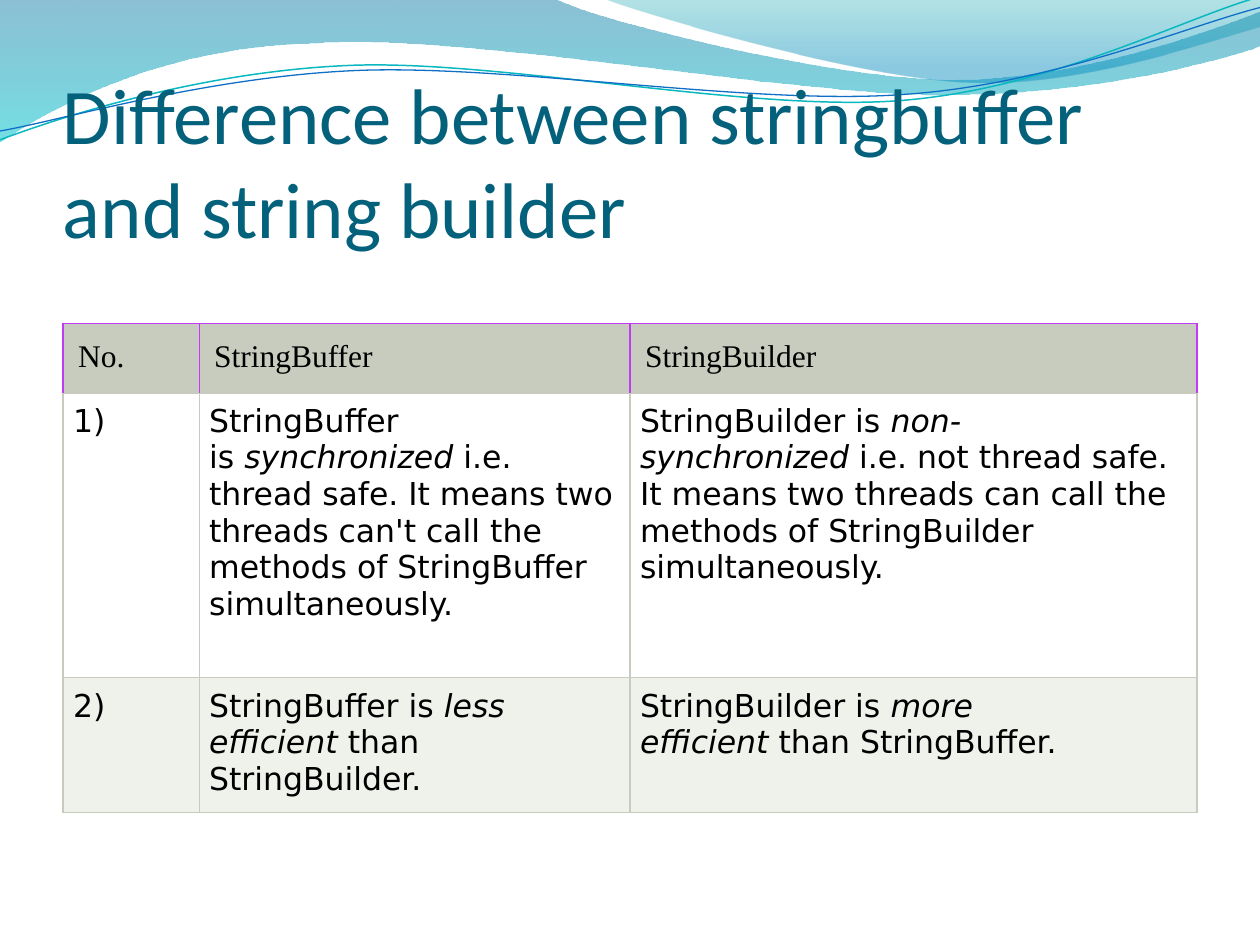
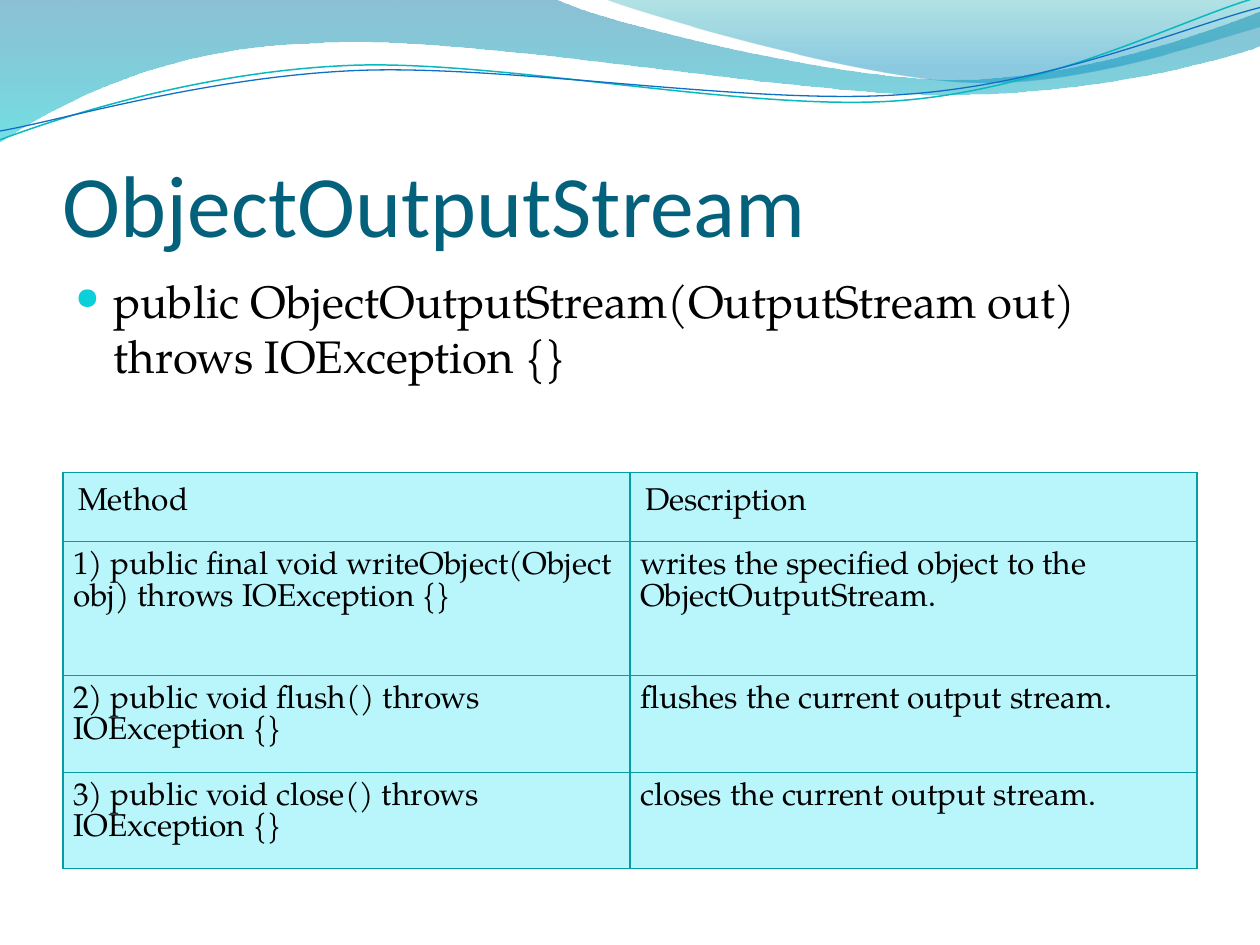
from lxml import etree
from pptx import Presentation
from pptx import util as u
from pptx.dml.color import RGBColor
from pptx.enum import text as t
from pptx.oxml import parse_xml
from pptx.oxml.ns import nsdecls, qn

TITLE, INK, TEAL, SAGE, VIOLET = "04617B", "000000", "069CA3", "C7CCBE", "C03AF8"
SERIF = "TeX Gyre Pagella"
HARD = chr(160)  # no-break space, typed as ~ in the wording below

# Each wave is a start point, then lines (2 numbers) and cubic curves (6 numbers).
BANDS = [
    ([(0, 0), (4.4, -0.01), (4.76, 0.17, 6.64, 0.63, 7.58, 0.63),
      (8.53, 0.63, 9.58, 0.26, 10, 0.09), (10.01, 0.36),
      (9.83, 0.44, 8.7, 0.76, 7.46, 0.75), (6.22, 0.75, 3.82, 0.28, 2.57, 0.34),
      (1.29, 0.36, 0.46, 0.83, -0.01, 1.13)],
     [(0, "0074A1", 45), (1, "00C6CF", 55)]),
    ([(4.79, -0.01), (5.09, 0.11, 6.82, 0.62, 7.69, 0.65),
      (8.56, 0.69, 9.61, 0.32, 10, 0.21), (10, 0)],
     [(0, "00A1A9", 30), (0.8, "008BBF", 45)]),
]
CURVES = [
    ([(0, 1.11), (0.48, 0.93, 1.58, 0.57, 2.77, 0.52),
      (3.95, 0.47, 5.93, 0.89, 7.13, 0.8), (8.33, 0.71, 9.38, 0.15, 9.98, -0.02)],
     ("0AB8BF", 0.85)),
    ([(0, 1.04), (0.47, 0.96, 1.64, 0.61, 2.83, 0.56),
      (4.03, 0.51, 5.97, 0.84, 7.17, 0.75), (8.36, 0.67, 9.41, 0.21, 10, 0.06)],
     ("0F6FC6", 0.75)),
]

PAGES = [
    {"title": "Difference between stringbuffer and string builder", "size": 45,
     "top": 2.57, "cols": [1.08, 3.42, 4.5], "rows": [0.55, 2.26, 1.07],
     "fills": [SAGE, "FFFFFF", "EFF1EB"], "edge": SAGE, "head": VIOLET,
     "faces": ["Times New Roman", "DejaVu Sans"],
     "cells": [
         ["No.", "StringBuffer", "StringBuilder"],
         ["1)",
          "StringBuffer is~*synchronized*~i.e. thread safe. It means two threads "
          "can't call the methods of StringBuffer simultaneously.",
          "StringBuilder is~*non-synchronized*~i.e. not thread safe. It means two "
          "threads can call the methods of StringBuilder simultaneously."],
         ["2)", "StringBuffer is~*less efficient*~than StringBuilder.",
          "StringBuilder is~*more efficient*~than StringBuffer."]]},
    {"title": "ObjectOutputStream", "size": 50,
     "body": "public ObjectOutputStream(OutputStream out) throws IOException {}",
     "top": 3.75, "cols": [4.5, 4.5], "rows": [0.55, 1.06, 0.77, 0.76],
     "fills": ["B9F6FC"] * 4, "edge": TEAL, "head": TEAL,
     "faces": [SERIF, SERIF],
     "cells": [
         ["Method", "Description"],
         ["1) public final void writeObject(Object obj) throws IOException {}",
          "writes the specified object to the ObjectOutputStream."],
         ["2) public void flush() throws IOException {}",
          "flushes the current output stream."],
         ["3) public void close() throws IOException {}",
          "closes the current output stream."]]},
]


def hue(code):
    return RGBColor.from_string(code)


def write(frame, words, size, face, color):
    """Fill the first paragraph; words between asterisks are italic."""
    frame.word_wrap = True
    para = frame.paragraphs[0]
    for i, part in enumerate(words.replace("~", HARD).split("*")):
        run = para.add_run()
        run.text = part
        if i % 2:
            run.font.italic = True
    font = para.font
    font.size, font.name, font.color.rgb = u.Pt(size), face, hue(color)
    return para


deck = Presentation()
deck.slide_width, deck.slide_height = u.Inches(10), u.Inches(7.5)

for page in PAGES:
    slide = deck.slides.add_slide(deck.slide_layouts[6])
    shapes = slide.shapes

    # Waves along the top
    for wave, paint in BANDS + CURVES:
        band = isinstance(paint, list)
        ends = [(u.Inches(seg[-2]), u.Inches(seg[-1])) for seg in wave]
        path = shapes.build_freeform(*ends[0])
        path.add_line_segments(ends[1:], close=band)
        shape = path.convert_to_shape()
        shape.shadow.inherit = False

        # Bend the straight pieces into cubic curves
        for node, seg in zip(list(shape.element.iter(qn("a:lnTo"))), wave[1:]):
            if len(seg) == 6:
                bend = etree.Element(qn("a:cubicBezTo"))
                for x, y in zip(seg[::2], seg[1::2]):
                    etree.SubElement(bend, qn("a:pt"), x=str(u.Inches(x) - shape.left),
                                     y=str(u.Inches(y) - shape.top))
                node.getparent().replace(node, bend)

        if band:
            shape.line.fill.background()
            shape.fill.gradient()
            shape.fill.gradient_angle = 270
            for stop, (place, code, _) in zip(shape.fill.gradient_stops, paint):
                stop.position, stop.color.rgb = place, hue(code)
            for node, (_, _, alpha) in zip(shape.element.iter(qn("a:srgbClr")), paint):
                etree.SubElement(node, qn("a:alpha"), val=str(alpha * 1000))
        else:
            shape.fill.background()
            shape.line.color.rgb, shape.line.width = hue(paint[0]), u.Pt(paint[1])

    # Title
    frame = shapes.add_textbox(*map(u.Inches, (0.5, 0.77, 9, 1.25))).text_frame
    frame.margin_left = frame.margin_right = frame.margin_bottom = 0
    frame.vertical_anchor = t.MSO_ANCHOR.BOTTOM
    write(frame, page["title"], page["size"], "Calibri", TITLE)

    # Bullet
    if "body" in page:
        frame = shapes.add_textbox(*map(u.Inches, (0.5, 2.12, 9, 4.8))).text_frame
        para = write(frame, page["body"], 26, SERIF, INK)
        para.space_before = u.Pt(5.2)
        props = para._p.get_or_add_pPr()
        props.set("marL", str(u.Inches(0.3)))
        props.set("indent", str(u.Inches(-0.3)))
        last = props.find(qn("a:defRPr"))
        for xml in ('<a:buClr %s><a:srgbClr val="0BD0D9"/></a:buClr>',
                    '<a:buSzPct %s val="67000"/>', '<a:buChar %s char="●"/>'):
            last.addprevious(parse_xml(xml % nsdecls("a")))

    # Table
    rows, cols = page["rows"], page["cols"]
    grid = shapes.add_table(len(rows), len(cols), u.Inches(0.5), u.Inches(page["top"]),
                            u.Inches(sum(cols)), u.Inches(sum(rows))).table
    grid.first_row = grid.horz_banding = False
    for c, width in enumerate(cols):
        grid.columns[c].width = u.Inches(width)
    for r, height in enumerate(rows):
        grid.rows[r].height = u.Inches(height)
        top = r == 0
        for c, words in enumerate(page["cells"][r]):
            cell = grid.cell(r, c)
            pad = u.Inches(0.12 if top else 0.08)
            cell.margin_left = cell.margin_right = pad
            cell.margin_top = cell.margin_bottom = pad
            write(cell.text_frame, words, 18, page["faces"][not top], INK)
            for side in "LRTB":
                code = page["head"] if top and side != "B" else page["edge"]
                cell._tc.get_or_add_tcPr().append(parse_xml(
                    f'<a:ln{side} {nsdecls("a")} w="{u.Pt(0.75)}"><a:solidFill>'
                    f'<a:srgbClr val="{code}"/></a:solidFill></a:ln{side}>'))
            cell.fill.solid()
            cell.fill.fore_color.rgb = hue(page["fills"][r])

deck.save("out.pptx")
